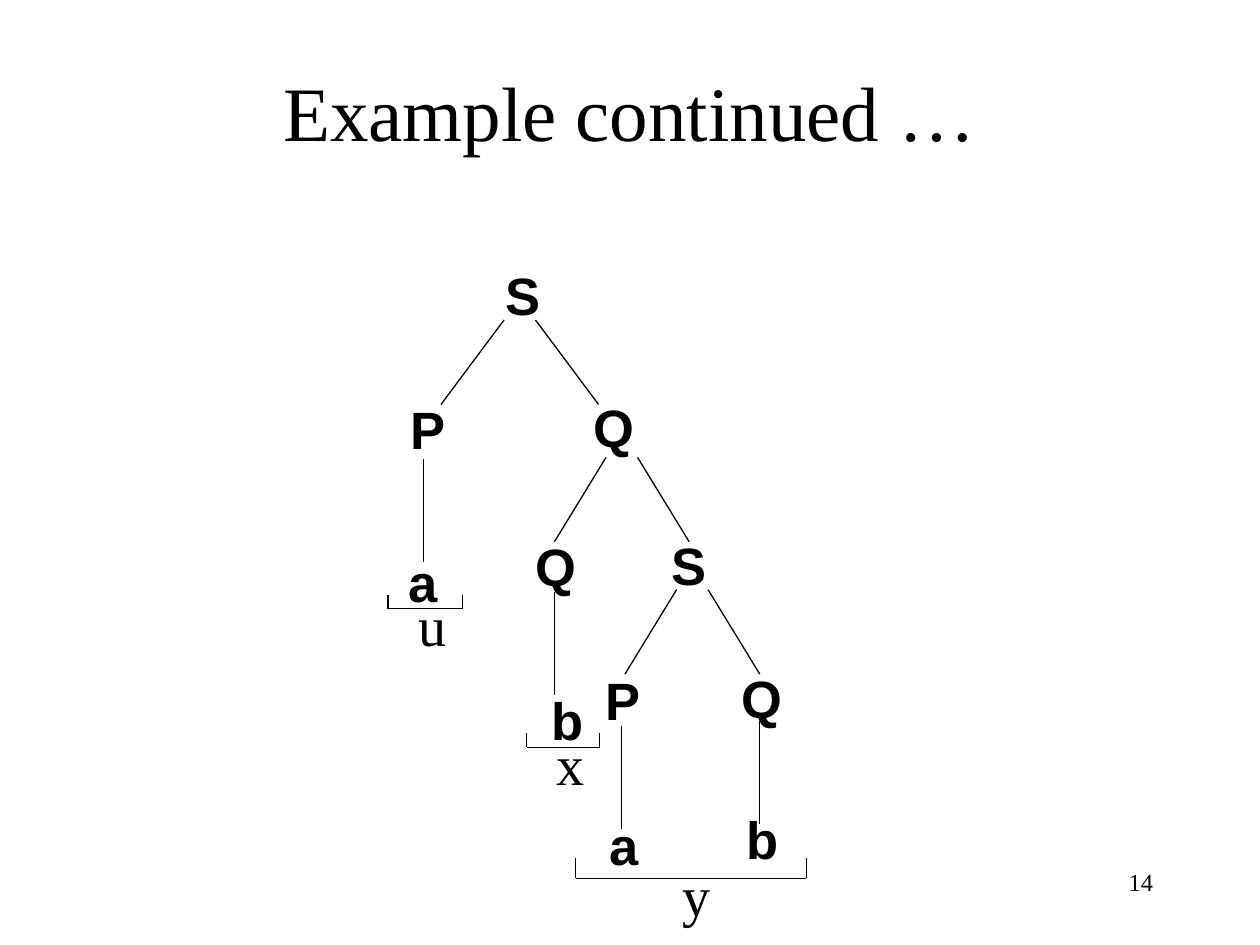
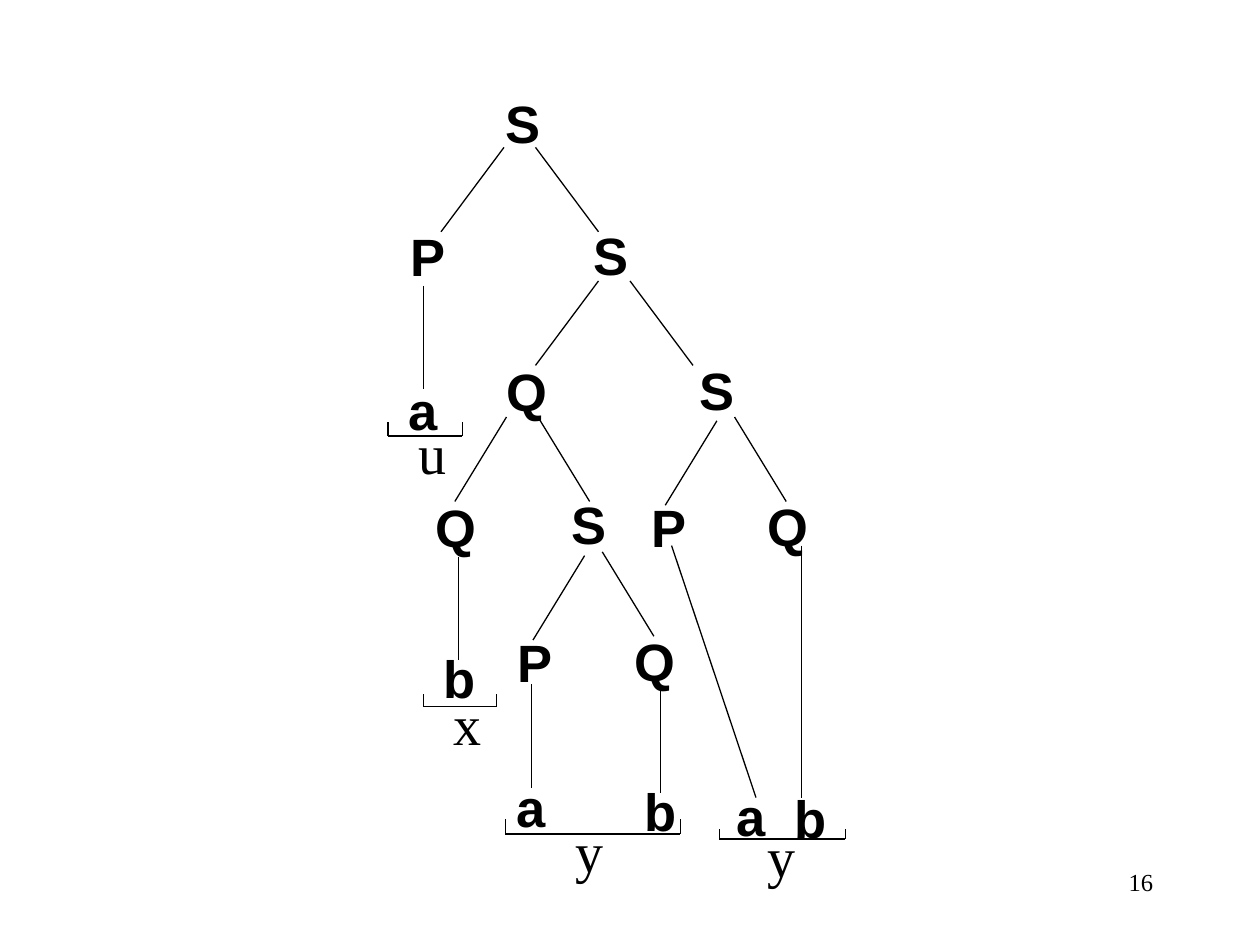
from dataclasses import dataclass

from lxml import etree
from pptx import Presentation
from pptx import util as u
from pptx.dml.color import RGBColor
from pptx.enum import shapes, text
from pptx.oxml import ns

INK = RGBColor(0x00, 0x00, 0x00)
PAPER = RGBColor(0xFF, 0xFF, 0xFF)
SERIF, SANS = "Times New Roman", "Arial"
WIDTH, HEIGHT = u.Inches(10), u.Inches(7.5)
CELL = WIDTH // 100
TITLE_BOX = (7.5, 2.5, 85, 12.5)
NUMBER_BOX = (71.7, 68.3, 20.8, 5)
SYMBOL_WIDTH, LEAF_WIDTH, SYMBOL_HEIGHT = 9.2, 13.3, 6
LABEL_WIDTH, LABEL_HEIGHT, LABEL_RISE = 8.3, 6.4, 1.9
FORK_HEIGHT = 6.7


@dataclass
class Fork:
    """Two branches that leave a symbol and spread to both sides."""
    column: float
    row: float
    spread: float = 4.1
    gap: float = 2.5
    left_drop: float = 0


@dataclass
class Stem:
    """A single branch from a symbol down to its leaf."""
    column: float
    row: float
    length: float = 8.2
    lean: float = 0


@dataclass
class Bracket:
    """A labelled bracket under the leaves of one substring."""
    label: str
    label_column: float
    left: float
    right: float
    base: float
    height: float = 1.1


SHARED_SYMBOLS = [("S", 9.1, 0.4), ("P", 1.6, 11), ("a", 1.4, 23.2)]
SHARED_FORKS = [Fork(10, 5.4, 5)]
SHARED_STEMS = [Stem(3.6, 16.4)]
SHARED_BRACKETS = [Bracket("u", 2.2, 0.8, 6.7, 28.3)]

SHORT_TREE = {
    "symbols": [
        ("Q", 16.1, 10.9), ("Q", 11.5, 21.9), ("S", 22.3, 21.8),
        ("P", 17.1, 32.5), ("Q", 27.9, 32.4), ("b", 12.8, 34.1),
        ("a", 17.4, 44), ("b", 28.3, 43.6),
    ],
    "forks": [Fork(18.1, 16.3), Fork(23.7, 26.8)],
    "stems": [Stem(14, 27), Stem(19.3, 37.6), Stem(30.3, 37.2)],
    "brackets": [
        Bracket("x", 13.2, 11.8, 17.6, 39.3),
        Bracket("y", 23.2, 15.7, 34, 49.7, 1.6),
    ],
}
PUMPED_TREE = {
    "symbols": [
        ("S", 16.1, 10.9), ("Q", 9.2, 21.7), ("S", 24.5, 21.6),
        ("Q", 3.6, 32.5), ("S", 14.4, 32.3), ("P", 20.7, 32.5),
        ("Q", 29.9, 32.4), ("P", 10.1, 43.2), ("Q", 19.4, 43.1),
        ("b", 4.2, 44.5), ("a", 10, 54.7), ("b", 20.2, 55),
        ("a", 27.5, 55.4), ("b", 32.1, 55.6),
    ],
    "forks": [
        Fork(17.5, 16, 5), Fork(10.2, 26.8),
        Fork(26.9, 26.8, gap=1.4, left_drop=0.3),
        Fork(16.4, 37.5, gap=1.4, left_drop=0.3),
    ],
    "stems": [
        Stem(6.4, 37.9), Stem(12.2, 48), Stem(22.4, 48.4),
        Stem(23.3, 37, 20, 6.7), Stem(33.6, 37, 20),
    ],
    "brackets": [
        Bracket("x", 5, 3.6, 9.4, 49.8, 1),
        Bracket("y", 14.7, 10.1, 24, 59.9, 1.2),
        Bracket("y", 29.9, 27.1, 37.1, 60.3, 0.8),
    ],
}


def cells(*counts):
    """Turn counts of grid cells into lengths."""
    return [round(count * CELL) for count in counts]


def write(shape, words, size, font=SERIF, bold=False, align=text.PP_ALIGN.LEFT):
    """Fill a shape with one formatted paragraph."""
    frame = shape.text_frame
    frame.word_wrap = True
    frame.text = words
    paragraph = frame.paragraphs[0]
    paragraph.alignment = align
    for run in paragraph.runs:
        run.font.name = font
        run.font.size = u.Pt(size)
        run.font.bold = bold
        run.font.color.rgb = INK


class Tree:
    """A parse tree drawn on grid cells counted from its own corner."""

    def __init__(self, slide, left, top):
        """Open an empty group for the tree at the given corner."""
        self.shapes = slide.shapes.add_group_shape().shapes
        self.left, self.top = left, top

    def line(self, start_column, start_row, end_column, end_row):
        """Draw a thin plain line between two grid points."""
        connector = self.shapes.add_connector(
            shapes.MSO_CONNECTOR.STRAIGHT,
            *cells(self.left + start_column, self.top + start_row,
                   self.left + end_column, self.top + end_row))
        connector.line.color.rgb = INK
        connector.line.width = u.Pt(0.75)
        etree.SubElement(connector._element.spPr, ns.qn("a:effectLst"))

    def words(self, words, column, row, width, height, **style):
        """Place a growing text box at a grid point."""
        box = self.shapes.add_textbox(
            *cells(self.left + column, self.top + row, width, height))
        write(box, words, **style)
        box.text_frame.auto_size = text.MSO_AUTO_SIZE.SHAPE_TO_FIT_TEXT

    def symbol(self, letter, column, row):
        """Write a grammar symbol, wider when it is a leaf."""
        width = LEAF_WIDTH if letter.islower() else SYMBOL_WIDTH
        self.words(letter, column, row, width, SYMBOL_HEIGHT,
                   size=30, font=SANS, bold=True)

    def fork(self, fork):
        """Draw the left and right branches of a fork."""
        left_row = fork.row + fork.left_drop
        right = fork.column + fork.gap
        self.line(fork.column, left_row,
                  fork.column - fork.spread, left_row + FORK_HEIGHT)
        self.line(right, fork.row, right + fork.spread, fork.row + FORK_HEIGHT)

    def stem(self, stem):
        """Draw the branch down to a leaf."""
        self.line(stem.column, stem.row,
                  stem.column + stem.lean, stem.row + stem.length)

    def bracket(self, bracket):
        """Draw a bracket with its label below."""
        self.words(bracket.label, bracket.label_column,
                   bracket.base - LABEL_RISE, LABEL_WIDTH, LABEL_HEIGHT, size=32)
        self.line(bracket.left, bracket.base, bracket.right, bracket.base)
        for side in (bracket.left, bracket.right):
            self.line(side, bracket.base - bracket.height, side, bracket.base)

    def draw(self, symbols, forks, stems, brackets):
        """Draw the shared left part and the parts of this tree."""
        for symbol in SHARED_SYMBOLS + symbols:
            self.symbol(*symbol)
        for fork in SHARED_FORKS + forks:
            self.fork(fork)
        for stem in SHARED_STEMS + stems:
            self.stem(stem)
        for bracket in SHARED_BRACKETS + brackets:
            self.bracket(bracket)


def add_title(slide, title, box):
    """Move and format the title placeholder."""
    shape = slide.shapes.title
    shape.left, shape.top, shape.width, shape.height = cells(*box)
    write(shape, title, 44, align=text.PP_ALIGN.CENTER)
    shape.text_frame.auto_size = text.MSO_AUTO_SIZE.NONE
    shape.text_frame.vertical_anchor = text.MSO_ANCHOR.MIDDLE


def add_number(slide, number, box):
    """Write the slide number at the lower right."""
    shape = slide.shapes.add_textbox(*cells(*box))
    write(shape, str(number), 14, align=text.PP_ALIGN.RIGHT)


def add_tree_slide(presentation, number, corner, parts, title=None):
    """Add a slide with a parse tree and, if given, a title."""
    layout = presentation.slide_layouts[5 if title else 6]
    slide = presentation.slides.add_slide(layout)
    slide.background.fill.solid()
    slide.background.fill.fore_color.rgb = PAPER
    Tree(slide, *corner).draw(**parts)
    if title:
        add_title(slide, title, TITLE_BOX)
    add_number(slide, number, NUMBER_BOX)


def main():
    """Build and save the presentation."""
    presentation = Presentation()
    presentation.slide_width, presentation.slide_height = WIDTH, HEIGHT
    add_tree_slide(presentation, 14, (30, 20), SHORT_TREE, "Example continued …")
    add_tree_slide(presentation, 16, (30, 6.3), PUMPED_TREE)
    presentation.save("out.pptx")


if __name__ == "__main__":
    main()
